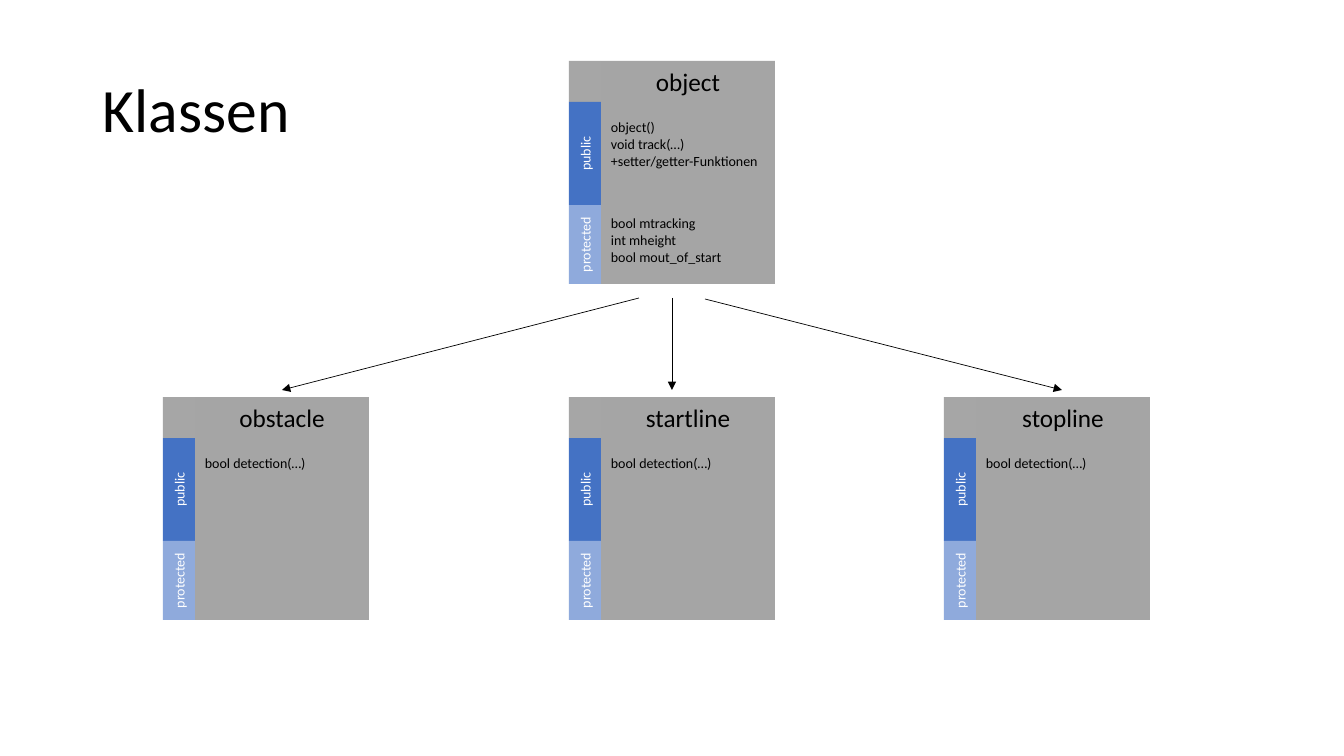
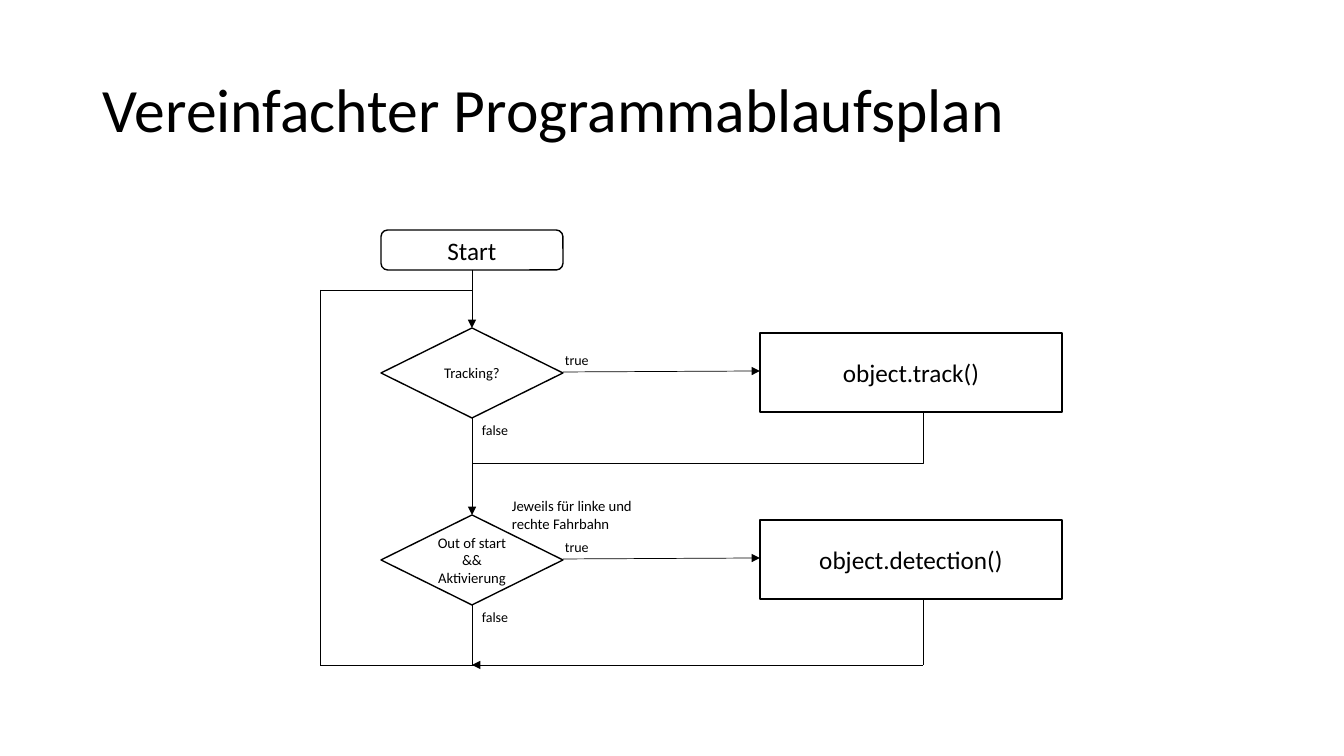
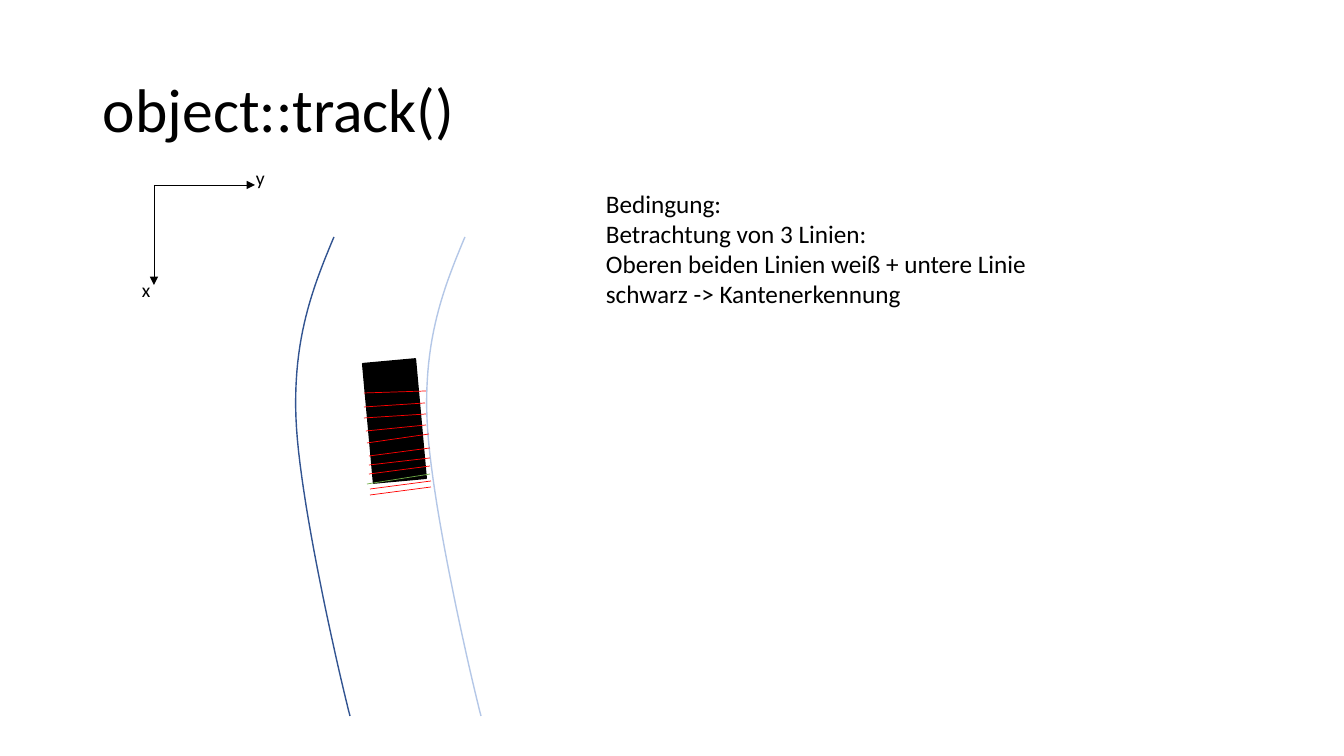
from lxml.etree import SubElement
from pptx import Presentation
from pptx.dml.color import RGBColor
from pptx.enum.shapes import MSO_CONNECTOR, MSO_SHAPE
from pptx.enum.text import MSO_ANCHOR, PP_ALIGN
from pptx.oxml.ns import qn
from pptx.util import Emu, Pt

RECT, ROUND, DIAMOND = MSO_SHAPE.RECTANGLE, MSO_SHAPE.ROUNDED_RECTANGLE, MSO_SHAPE.DIAMOND
STRAIGHT, ELBOW = MSO_CONNECTOR.STRAIGHT, MSO_CONNECTOR.ELBOW
TOP, MIDDLE = MSO_ANCHOR.TOP, MSO_ANCHOR.MIDDLE
LEFT, CENTER = PP_ALIGN.LEFT, PP_ALIGN.CENTER

SCALE = 914400 / 100.8
WIDE, HIGH = 1344, 756
FONT = "Calibri"
BLACK, WHITE, RED, GREEN = "000000", "FFFFFF", "FF0000", "70AD47"
GREY, TAB, BLUE, PALE = "A5A5A5", "A6A6A6", "4472C4", "8FAADC"

# Class cards: name, left, top, public members, protected members
CARDS = [
    ("object", 569, 61,
     ["object()", "void track(…)", "+setter/getter-Funktionen"],
     ["bool mtracking", "int mheight", "bool mout_of_start"]),
    ("obstacle", 163, 397, ["bool detection(…)"], []),
    ("startline", 569, 397, ["bool detection(…)"], []),
    ("stopline", 944, 397, ["bool detection(…)"], []),
]
SIDE, BODY = 32, 174
HEAD, PUBLIC, GUARD = 41, 103, 79
HEIRS = [(639, 298, 282, 390), (705, 299, 1062, 390), (672, 298, 672, 390)]

# Flow chart: top of step, question, call
STEPS = [(328, "Tracking?", "object.track()"),
         (515, "Out of start && Aktivierung", "object.detection()")]
SPINE, BACK, RETURN = 472, 320, 923
LOOP, JOIN, END = 290, 472, 665
NODE, CALL = 182, 760

# Lane curves: start point, then two cubic segments
LANE = [(334, 237),
        (313, 287), (293, 338), (296, 418),
        (299, 498), (337, 665), (350, 716)]
LANES = [(0, "325491"), (131, "B4C7E7")]
AXES = [(154, 285, "x", 132, 273), (255, 185, "y", 246, 161)]
SCANS = [
    (426, 391, 364, 393), (425, 403, 364, 407), (426, 414, 364, 418),
    (426, 425, 366, 431), (429, 434, 367, 443), (430, 448, 369, 456),
    (430, 458, 369, 465), (430, 466, 369, 474), (431, 481, 370, 489),
    (431, 487, 370, 495),
]
EDGE = (367, 484, 430, 474)
RULE = ["Bedingung:", "Betrachtung von 3 Linien:",
        "Oberen beiden Linien weiß + untere Linie schwarz -> Kantenerkennung"]


def px(size):
    """Turn pixels into EMU."""
    return Emu(round(size * SCALE))


def color(code):
    """Turn a hex string into a colour."""
    return RGBColor.from_string(code)


def write(shape, lines, size=18, ink=BLACK, align=LEFT, anchor=TOP, space=None):
    """Fill a shape with one paragraph per line."""
    frame = shape.text_frame
    frame.word_wrap = True
    frame.vertical_anchor = anchor
    for i, line in enumerate([lines] if isinstance(lines, str) else lines):
        para = frame.add_paragraph() if i else frame.paragraphs[0]
        para.alignment = align
        para.line_spacing = space
        run = para.add_run()
        run.text = line
        run.font.name, run.font.size = FONT, Pt(size)
        run.font.color.rgb = color(ink)


def label(slide, lines, x, y, w, h, **look):
    """Add a text box."""
    write(slide.shapes.add_textbox(px(x), px(y), px(w), px(h)), lines, **look)


def paint(shape, fill=None, line=None):
    """Set fill and outline, and drop the shadow."""
    shape.shadow.inherit = False
    if fill:
        shape.fill.solid()
        shape.fill.fore_color.rgb = color(fill)
    else:
        shape.fill.background()
    if line:
        shape.line.color.rgb = color(line)
        shape.line.width = Pt(1)
    else:
        shape.line.fill.background()


def block(slide, kind, x, y, w, h, fill=None, line=None, text=None, **look):
    """Add a preset shape, with centred text if given."""
    shape = slide.shapes.add_shape(kind, px(x), px(y), px(w), px(h))
    paint(shape, fill, line)
    if text:
        write(shape, text, align=CENTER, anchor=MIDDLE, **look)
    return shape


def link(slide, x1, y1, x2, y2, ink=BLACK, arrow=False, kind=STRAIGHT):
    """Add a thin line, with an arrowhead at its end if asked."""
    line = slide.shapes.add_connector(kind, px(x1), px(y1), px(x2), px(y2))
    line.line.color.rgb = color(ink)
    line.line.width = Pt(0.5)
    if arrow:
        SubElement(line.element.xpath(".//a:ln")[0], qn("a:tailEnd"), type="triangle")
    SubElement(line.element.spPr, qn("a:effectLst"))
    return line


def drop(slide, x1, y1, x2, y2):
    """Add an elbow arrow that leaves downwards and turns to the left."""
    midx, midy = (x1 + x2) / 2, (y1 + y2) / 2
    halfw, halfh = (y2 - y1) / 2, (x1 - x2) / 2
    line = link(slide, midx - halfw, midy - halfh, midx + halfw, midy + halfh,
                arrow=True, kind=ELBOW)
    line.element.spPr.find(qn("a:xfrm")).set("rot", "5400000")


def curve(slide, points, shift, ink, steps=24):
    """Draw chained cubic segments as an open outline."""
    spots = []
    for k in range(0, len(points) - 1, 3):
        a, b, c, d = points[k:k + 4]
        for i in range(1, steps + 1):
            t = i / steps
            u = 1 - t
            x, y = (u**3 * p + 3 * u * u * t * q + 3 * u * t * t * r + t**3 * s
                    for p, q, r, s in zip(a, b, c, d))
            spots.append((px(x + shift), px(y)))
    x, y = points[0]
    pen = slide.shapes.build_freeform(px(x + shift), px(y))
    pen.add_line_segments(spots, close=False)
    paint(pen.convert_to_shape(), line=ink)


def page(deck, title, width=1159):
    """Add a blank slide with its title."""
    slide = deck.slides.add_slide(deck.slide_layouts[6])
    label(slide, title, 93, 40, width, 146, size=44, anchor=MIDDLE, space=0.9)
    return slide


def card(slide, name, x, y, public, guard):
    """Draw one class card."""
    body = x + SIDE
    block(slide, RECT, body, y, BODY, HEAD + PUBLIC + GUARD, fill=GREY)
    block(slide, RECT, x, y, SIDE, HEAD, fill=TAB)
    label(slide, name, body, y, BODY, 40, align=CENTER)
    top = y + HEAD
    for text, high, fill in (("public", PUBLIC, BLUE), ("protected", GUARD, PALE)):
        side = block(slide, RECT, x, top, SIDE, high, fill=fill, text=text, size=10, ink=WHITE)
        side.element.xpath(".//a:bodyPr")[0].set("vert", "vert270")
        top += high
    for lines, down in ((public, 53), (guard, 149)):
        if lines:
            label(slide, lines, body, y + down, BODY, 10 + 17 * len(lines), size=10)


def classes(deck):
    """Build the class diagram."""
    slide = page(deck, "Klassen", 222)
    for item in CARDS:
        card(slide, *item)
    for ends in HEIRS:
        link(slide, *ends, arrow=True)


def flow(deck):
    """Build the flow chart."""
    slide = page(deck, "Vereinfachter Programmablaufsplan")
    left, right = SPINE - NODE // 2, SPINE + NODE // 2
    block(slide, ROUND, left, 230, NODE, 40, line=BLACK, text="Start")
    for y, ask, call in STEPS:
        block(slide, DIAMOND, left, y, NODE, 90, line=BLACK, text=ask, size=10.5)
        block(slide, RECT, CALL, y + 5, 302, 79, line=BLACK, text=call)
        link(slide, right, y + 44, CALL, y + 43, arrow=True)
        label(slide, "true", 555, y + 19, 57, 27, size=10)
        label(slide, "false", SPINE, y + 89, 57, 27, size=10)
    first, last = (y for y, *_ in STEPS)
    drop(slide, RETURN, first + 84, SPINE, last)
    link(slide, SPINE, 270, SPINE, first, arrow=True)
    link(slide, 582, END, SPINE, END, arrow=True)
    for ends in [(SPINE, first + 90, SPINE, JOIN), (SPINE, last + 90, SPINE, END),
                 (RETURN, last + 84, RETURN, END), (RETURN, END, BACK, END),
                 (BACK, LOOP, BACK, END), (SPINE, LOOP, BACK, LOOP)]:
        link(slide, *ends)
    label(slide, "Jeweils für linke und rechte Fahrbahn", 502, 492, 162, 45, size=10.5)


def track(deck):
    """Build the tracking sketch."""
    slide = page(deck, "object::track()")
    block(slide, RECT, 368, 361, 53, 120, fill=BLACK, line=BLACK).rotation = -5.2
    for shift, ink in LANES:
        curve(slide, LANE, shift, ink)
    for x, y, name, left, top in AXES:
        link(slide, 154, 185, x, y, arrow=True)
        label(slide, name, left, top, 45, 34, size=14)
    link(slide, *EDGE, ink=GREEN)
    for ends in SCANS:
        link(slide, *ends, ink=RED)
    label(slide, RULE, 596, 183, 484, 132)


deck = Presentation()
deck.slide_width, deck.slide_height = px(WIDE), px(HIGH)
for build in (classes, flow, track):
    build(deck)
deck.save("out.pptx")
